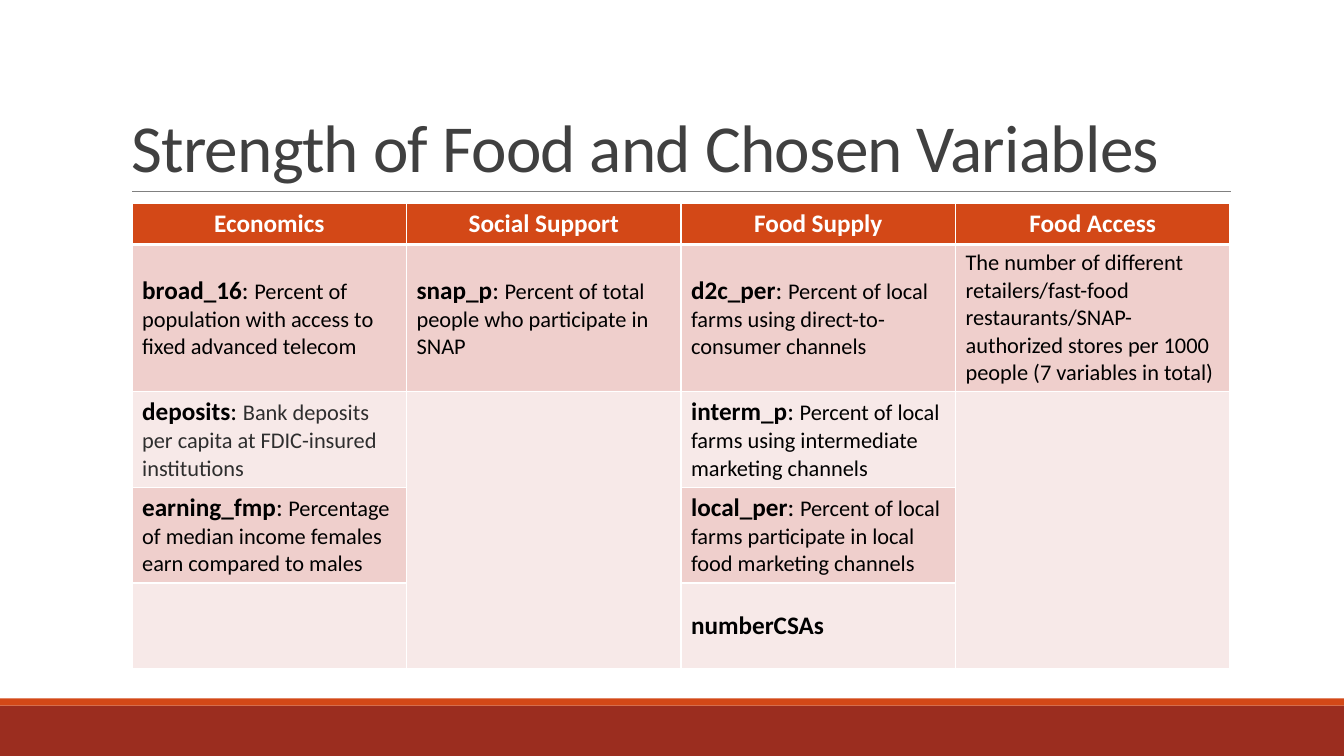
from dataclasses import dataclass

from lxml import etree
from pptx import Presentation
from pptx.dml.color import RGBColor
from pptx.enum.shapes import MSO_CONNECTOR, MSO_SHAPE
from pptx.enum.text import MSO_ANCHOR, MSO_AUTO_SIZE, PP_ALIGN
from pptx.oxml.ns import qn
from pptx.util import Inches, Pt

RECTANGLE = MSO_SHAPE.RECTANGLE
STRAIGHT = MSO_CONNECTOR.STRAIGHT
MIDDLE, BOTTOM = MSO_ANCHOR.MIDDLE, MSO_ANCHOR.BOTTOM
LEFT, CENTER = PP_ALIGN.LEFT, PP_ALIGN.CENTER
NO_AUTOFIT = MSO_AUTO_SIZE.NONE
TITLE_ONLY_LAYOUT = 5


@dataclass(frozen=True)
class Theme:
    font: str = "Calibri"
    title_size: float = 48
    term_size: float = 18
    body_size: float = 16
    title_color: str = "404040"
    text_color: str = "000000"
    muted_color: str = "2E2E2E"
    white: str = "FFFFFF"
    rule_color: str = "808080"
    accent: str = "D34817"
    footer: str = "9B2D1F"
    bands: tuple = ("EFCFCC", "F7E9E8")


HEADERS = ["Economics", "Social Support", "Food Supply", "Food Access"]
ROW_HEIGHTS = [0.4, 1.45, 0.95, 0.95, 0.85]
# Each entry is (variable name, description)
VARIABLES = [
    [("broad_16", "Percent of population with access to fixed advanced telecom"),
     ("snap_p", "Percent of total people who participate in SNAP"),
     ("d2c_per", "Percent of local farms using direct-to-consumer channels"),
     ("", "The number of different retailers/fast-food restaurants/"
          "SNAP-authorized stores per 1000 people (7 variables in total)")],
    [("deposits", "Bank deposits per capita at FDIC-insured institutions"), None,
     ("interm_p", "Percent of local farms using intermediate marketing channels"), None],
    [("earning_fmp", "Percentage of median income females earn compared to males"), None,
     ("local_per", "Percent of local farms participate in local food marketing channels"), None],
    [None, None, ("numberCSAs", ""), None],
]
MERGED_COLUMNS = (1, 3)
MUTED_TERM = "deposits"


class SlideBuilder:
    def __init__(self, presentation, theme):
        self.theme = theme
        layout = presentation.slide_layouts[TITLE_ONLY_LAYOUT]
        self.slide = presentation.slides.add_slide(layout)

    def style_font(self, font, size, color, bold=False):
        font.name = self.theme.font
        font.size = Pt(size)
        font.bold = bold
        font.color.rgb = RGBColor.from_string(color)

    def add_bar(self, top, height, color):
        bar = self.slide.shapes.add_shape(
            RECTANGLE, 0, Inches(top), Inches(13.33), Inches(height))
        bar.shadow.inherit = False
        bar.fill.solid()
        bar.fill.fore_color.rgb = RGBColor.from_string(color)
        bar.line.fill.background()

    def add_rule(self, left, right, top):
        rule = self.slide.shapes.add_connector(
            STRAIGHT, Inches(left), Inches(top), Inches(right), Inches(top))
        rule.line.color.rgb = RGBColor.from_string(self.theme.rule_color)
        rule.line.width = Pt(0.5)
        etree.SubElement(rule._element.spPr, qn("a:effectLst"))

    def add_title(self, text, left, top, width, height):
        title = self.slide.shapes.title
        title.left, title.top = Inches(left), Inches(top)
        title.width, title.height = Inches(width), Inches(height)
        frame = title.text_frame
        frame.text = text
        frame.word_wrap = True
        frame.auto_size = NO_AUTOFIT
        frame.vertical_anchor = BOTTOM
        paragraph = frame.paragraphs[0]
        paragraph.alignment = LEFT
        paragraph.line_spacing = 0.85
        run = paragraph.runs[0]
        self.style_font(run.font, self.theme.title_size, self.theme.title_color)
        run.font._element.set("spc", "-50")

    def style_cell(self, cell, fill, top_width=1, bottom_width=1):
        cell.vertical_anchor = MIDDLE
        properties = cell._tc.get_or_add_tcPr()
        borders = {"L": 1, "R": 1, "T": top_width, "B": bottom_width}
        for side, width in borders.items():
            border = etree.SubElement(properties, qn(f"a:ln{side}"), w=str(Pt(width)))
            solid = etree.SubElement(border, qn("a:solidFill"))
            etree.SubElement(solid, qn("a:srgbClr"), val=self.theme.white)
        cell.fill.solid()
        cell.fill.fore_color.rgb = RGBColor.from_string(fill)

    def write_variable(self, cell, term, description):
        theme = self.theme
        body_color = theme.muted_color if term == MUTED_TERM else theme.text_color
        separator = ": " if term and description else ""
        pieces = [(term, theme.term_size, theme.text_color, True),
                  (separator, theme.term_size, theme.text_color, False),
                  (description, theme.body_size, body_color, False)]
        paragraph = cell.text_frame.paragraphs[0]
        for text, size, color, bold in pieces:
            if text:
                run = paragraph.add_run()
                run.text = text
                self.style_font(run.font, size, color, bold)

    def add_variable_table(self, left, top, width):
        theme = self.theme
        table = self.slide.shapes.add_table(
            len(ROW_HEIGHTS), len(HEADERS), Inches(left), Inches(top),
            Inches(width), Inches(sum(ROW_HEIGHTS))).table
        for row, height in zip(table.rows, ROW_HEIGHTS):
            row.height = Inches(height)

        # Header row
        for column, header in enumerate(HEADERS):
            cell = table.cell(0, column)
            cell.text_frame.text = header
            paragraph = cell.text_frame.paragraphs[0]
            paragraph.alignment = CENTER
            self.style_font(paragraph.runs[0].font, theme.term_size, theme.white, True)
            self.style_cell(cell, theme.accent, bottom_width=3)

        # Variable rows; merged columns keep the fill of their first cell
        for row, entries in enumerate(VARIABLES, start=1):
            for column, entry in enumerate(entries):
                cell = table.cell(row, column)
                merged = column in MERGED_COLUMNS and row > 1
                fill = theme.bands[1 if merged else (row - 1) % 2]
                self.style_cell(cell, fill, top_width=3 if row == 1 else 1)
                if entry:
                    self.write_variable(cell, *entry)
        for column in MERGED_COLUMNS:
            table.cell(2, column).merge(table.cell(len(VARIABLES), column))


def main():
    presentation = Presentation()
    presentation.slide_width = Inches(13.33)
    presentation.slide_height = Inches(7.5)
    theme = Theme()
    builder = SlideBuilder(presentation, theme)

    # Footer bars and title rule
    builder.add_bar(7, 0.5, theme.footer)
    builder.add_bar(6.93, 0.07, theme.accent)
    builder.add_rule(1.31, 12.21, 1.9)

    # Title and table
    builder.add_title("Strength of Food and Chosen Variables", 1.2, 0.31, 11, 1.59)
    builder.add_variable_table(1.31, 2.02, 10.89)
    presentation.save("out.pptx")


if __name__ == "__main__":
    main()
